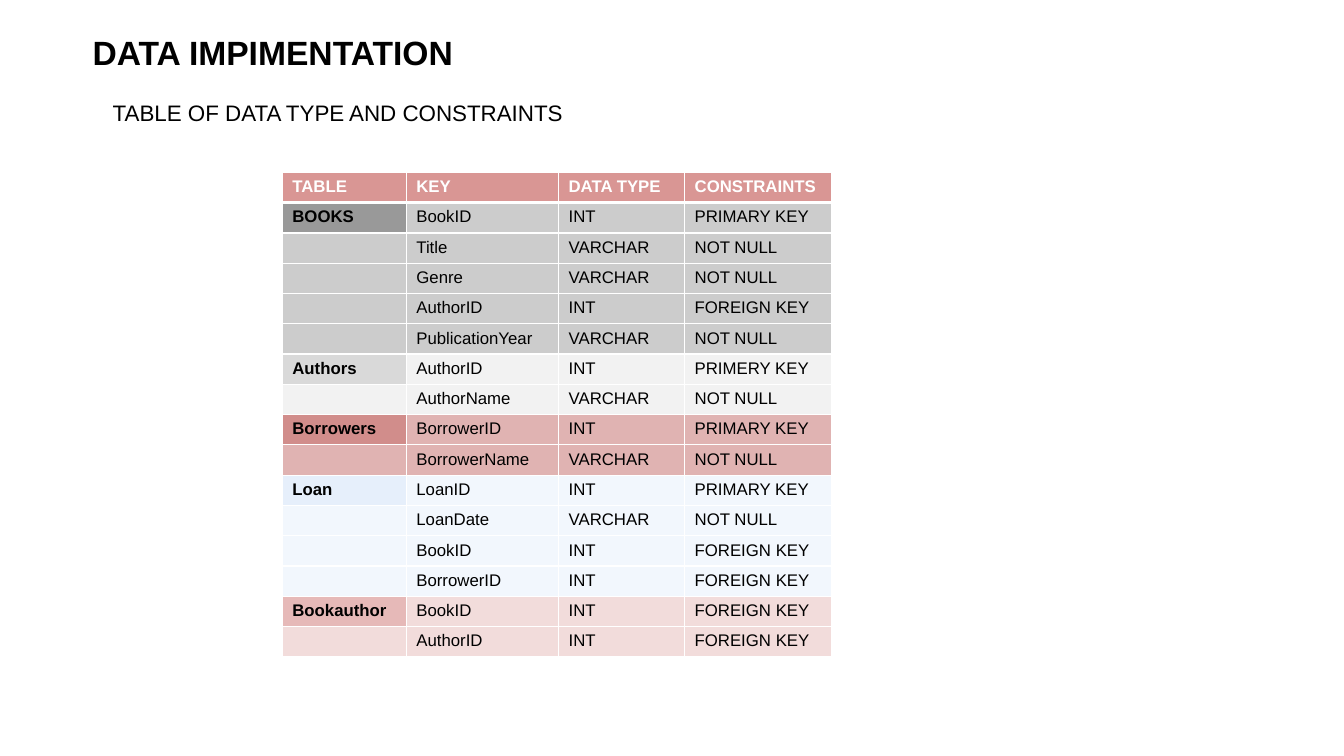
import pptx
import pptx.util
import pptx.dml.color
import pptx.oxml.ns
from lxml import etree

Inches = pptx.util.Inches
RGBColor = pptx.dml.color.RGBColor
qn = pptx.oxml.ns.qn

FONT = "Arial"
BLACK = RGBColor(0x00, 0x00, 0x00)
WHITE = RGBColor(0xFF, 0xFF, 0xFF)
ROSE = RGBColor(0xD9, 0x96, 0x94)

# Each group: name, name fill, body fill, rows of key, type and constraint
GROUPS = [
    ("BOOKS", RGBColor(0x99, 0x99, 0x99), RGBColor(0xCC, 0xCC, 0xCC), [
        ("BookID", "INT", "PRIMARY KEY"),
        ("Title", "VARCHAR", "NOT NULL"),
        ("Genre", "VARCHAR", "NOT NULL"),
        ("AuthorID", "INT", "FOREIGN KEY"),
        ("PublicationYear", "VARCHAR", "NOT NULL")]),
    ("Authors", RGBColor(0xD9, 0xD9, 0xD9), RGBColor(0xF2, 0xF2, 0xF2), [
        ("AuthorID", "INT", "PRIMERY KEY"),
        ("AuthorName", "VARCHAR", "NOT NULL")]),
    ("Borrowers", RGBColor(0xD1, 0x8D, 0x8B), RGBColor(0xE0, 0xB3, 0xB2), [
        ("BorrowerID", "INT", "PRIMARY KEY"),
        ("BorrowerName", "VARCHAR", "NOT NULL")]),
    ("Loan", RGBColor(0xE6, 0xEF, 0xFB), RGBColor(0xF2, 0xF7, 0xFD), [
        ("LoanID", "INT", "PRIMARY KEY"),
        ("LoanDate", "VARCHAR", "NOT NULL"),
        ("BookID", "INT", "FOREIGN KEY"),
        ("BorrowerID", "INT", "FOREIGN KEY")]),
    ("Bookauthor", RGBColor(0xE6, 0xB9, 0xB8), RGBColor(0xF2, 0xDC, 0xDB), [
        ("BookID", "INT", "FOREIGN KEY"),
        ("AuthorID", "INT", "FOREIGN KEY")]),
]


def write(frame, text, size, color, bold=False):
    run = frame.paragraphs[0].add_run()
    run.text = text
    run.font.name = FONT
    run.font.size = pptx.util.Pt(size)
    run.font.bold = bold
    run.font.color.rgb = color


def border(cell, side, width):
    line = etree.SubElement(cell._tc.get_or_add_tcPr(), qn("a:ln" + side),
                            w=str(pptx.util.Pt(width)))
    fill = etree.SubElement(line, qn("a:solidFill"))
    etree.SubElement(fill, qn("a:srgbClr"), val=str(WHITE))


deck = pptx.Presentation()
deck.slide_width = Inches(13.33)
deck.slide_height = Inches(7.5)
slide = deck.slides.add_slide(deck.slide_layouts[6])

# Title and subtitle
for text, size, bold, left, top, width, height in [
        ("DATA IMPIMENTATION", 24, True, 0.82, 0.27, 9.41, 0.58),
        ("TABLE OF DATA TYPE AND CONSTRAINTS", 16, False, 1.02, 0.93, 9.56, 0.37)]:
    box = slide.shapes.add_textbox(Inches(left), Inches(top),
                                   Inches(width), Inches(height))
    box.text_frame.word_wrap = True
    write(box.text_frame, text, size, BLACK, bold)

# Rows of the table: texts, fill of the first cell, fill of the others
rows = [(("TABLE", "KEY", "DATA TYPE", "CONSTRAINTS"), ROSE, ROSE)]
for name, dark, light, items in GROUPS:
    for i, item in enumerate(items):
        first = i == 0
        rows.append(((name if first else "", *item), dark if first else light, light))

# Table grid
widths = [1.23, 1.51, 1.25, 1.46]
table = slide.shapes.add_table(len(rows), len(widths), Inches(2.8), Inches(1.71),
                               Inches(sum(widths)), Inches(0.3 * len(rows))).table
table.horz_banding = False
for col, width in zip(table.columns, widths):
    col.width = Inches(width)

# Table cells
for r, (texts, dark, light) in enumerate(rows):
    table.rows[r].height = Inches(0.3)
    for c, text in enumerate(texts):
        cell = table.cell(r, c)
        for side in "LRTB":
            thick = (r, side) in [(0, "B"), (1, "T")]
            border(cell, side, 3 if thick else 1)
        cell.fill.solid()
        cell.fill.fore_color.rgb = light if c else dark
        if text:
            write(cell.text_frame, text, 12, BLACK if r else WHITE, r == 0 or c == 0)
        else:
            # Keeps the empty cell from growing its row
            etree.SubElement(cell.text_frame.paragraphs[0]._p,
                             qn("a:endParaRPr"), sz="1200")

deck.save("out.pptx")
